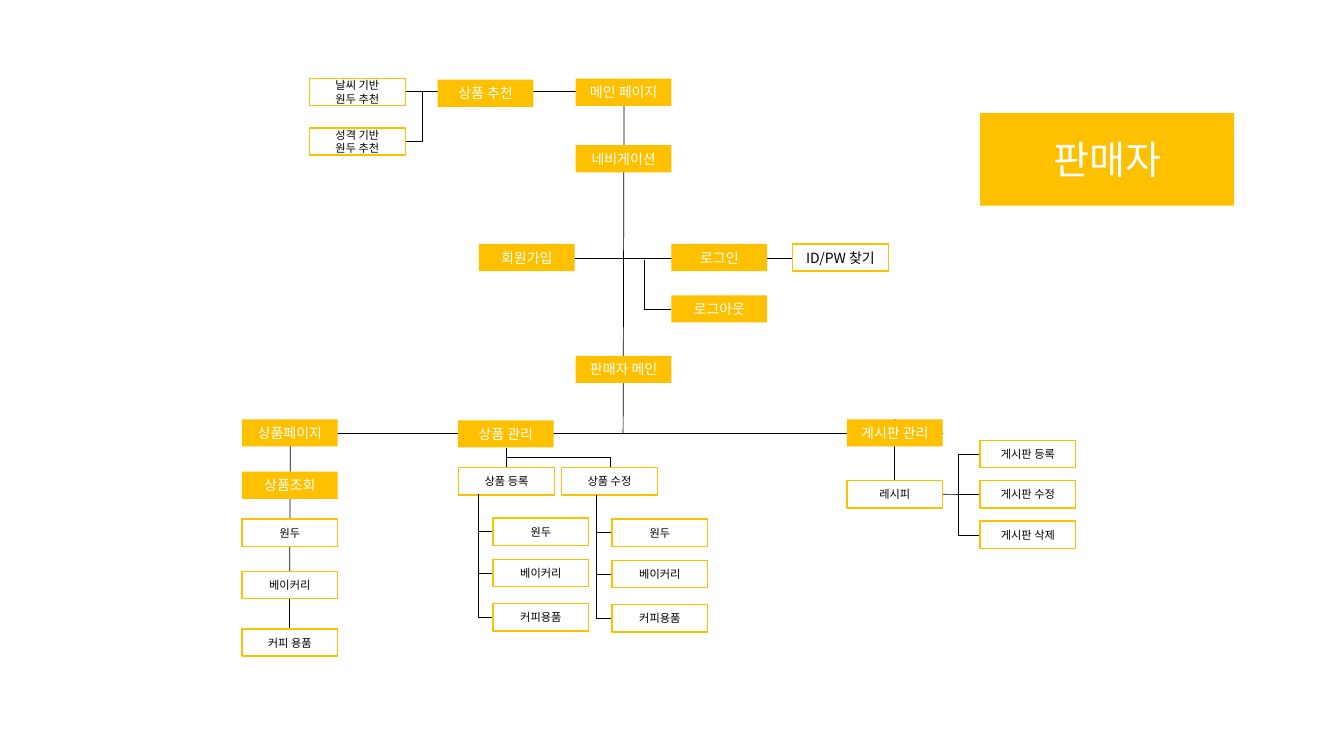
from lxml.etree import SubElement
from pptx import Presentation
from pptx.dml.color import RGBColor
from pptx.enum.shapes import MSO_CONNECTOR, MSO_SHAPE
from pptx.enum.text import MSO_ANCHOR, MSO_AUTO_SIZE, PP_ALIGN
from pptx.oxml.ns import qn
from pptx.util import Inches, Pt

AMBER = RGBColor(0xFF, 0xC0, 0x00)
WHITE = RGBColor(0xFF, 0xFF, 0xFF)
BLACK = RGBColor(0x00, 0x00, 0x00)
FONT = "Noto Sans CJK KR"
BOX_WIDTH, BOX_HEIGHT = 0.95, 0.27

TITLE = ("판매자", 9.72, 1.12, 2.52, 0.92)
PAGES = [
    ("메인 페이지", 5.71, 0.78),
    ("상품 추천", 4.34, 0.79),
    ("네비게이션", 5.71, 1.44),
    ("회원가입", 4.75, 2.42),
    ("로그인", 6.66, 2.42),
    ("로그아웃", 6.66, 2.93),
    ("판매자 메인", 5.71, 3.53),
    ("상품페이지", 2.4, 4.16),
    ("상품조회", 2.4, 4.68),
    ("상품 관리", 4.54, 4.17),
    ("게시판 관리", 8.4, 4.16),
]
SEARCH = ("ID/PW 찾기", 7.86, 2.42)
FEATURES = [
    ("날씨 기반\v원두 추천", 3.07, 0.78),
    ("성격 기반\v원두 추천", 3.07, 1.27),
    ("원두", 2.4, 5.15),
    ("베이커리", 2.4, 5.67),
    ("커피 용품", 2.4, 6.24),
    ("상품 등록", 4.55, 4.64),
    ("상품 수정", 5.57, 4.64),
    ("레시피", 8.4, 4.77),
]
GOODS = [("원두", 0), ("베이커리", 0.41), ("커피용품", 0.85)]
GOODS_COLUMNS = [(4.89, 5.14), (6.07, 5.15)]
BOARD_ACTIONS = ["게시판 등록", "게시판 수정", "게시판 삭제"]
BOARD_LEFT, BOARD_TOP, BOARD_STEP = 9.72, 4.37, 0.4

STRAIGHT_LINES = [
    (8.4, 4.9, 10.67, 4.91),
    (8.87, 4.16, 8.87, 5.04),
    (2.88, 4.16, 2.87, 6.51),
    (4.75, 2.56, 8.81, 2.56),
    (6.19, 0.78, 6.18, 4.3),
    (2.4, 4.3, 9.35, 4.3),
    (3.07, 0.91, 6.66, 0.91),
    (5.02, 4.44, 5.02, 4.64),
]
CORNERS = [
    (6.39, 2.58, 6.66, 3.07),
    (4.19, 0.91, 4.03, 1.4),
    (9.51, 4.9, 9.72, 4.51),
    (9.51, 4.91, 9.72, 5.31),
]
EDIT_LINK = (5.02, 4.44, 6.05, 4.64)


def add_line(slide, kind, *ends):
    line = slide.shapes.add_connector(kind, *map(Inches, ends))
    line.line.color.rgb = BLACK
    line.line.width = Pt(0.5)
    SubElement(line.element.spPr, qn("a:effectLst"))
    return line


def add_corner(slide, left, top, right, bottom):
    corner = add_line(slide, MSO_CONNECTOR.ELBOW, right, bottom, left, top)
    corner.element.spPr.find(qn("a:prstGeom")).set("prst", "bentConnector2")


def add_vertical_step(slide, left, top, right, bottom):
    center_x, center_y = (left + right) / 2, (top + bottom) / 2
    half_width, half_height = (bottom - top) / 2, (right - left) / 2
    step = add_line(slide, MSO_CONNECTOR.ELBOW,
                    center_x + half_width, center_y - half_height,
                    center_x - half_width, center_y + half_height)
    step.element.spPr.find(qn("a:xfrm")).set("rot", str(270 * 60000))


def set_text(box, text, size, color):
    frame = box.text_frame
    frame.auto_size = MSO_AUTO_SIZE.NONE
    frame.word_wrap = True
    frame.vertical_anchor = MSO_ANCHOR.MIDDLE
    frame.margin_left = frame.margin_right = Inches(0.04)
    frame.margin_top = frame.margin_bottom = Inches(0.05)
    para = frame.paragraphs[0]
    para.text = text
    para.alignment = PP_ALIGN.CENTER
    para.font.size = Pt(size)
    para.font.color.rgb = color
    para.font.name = FONT
    properties = para._p.find(qn("a:pPr")).find(qn("a:defRPr"))
    SubElement(properties, qn("a:ea")).set("typeface", FONT)


def add_box(slide, text, left, top, size, filled=False):
    box = slide.shapes.add_shape(
        MSO_SHAPE.RECTANGLE, *map(Inches, (left, top, BOX_WIDTH, BOX_HEIGHT)))
    box.shadow.inherit = False
    box.fill.solid()
    box.fill.fore_color.rgb = AMBER if filled else WHITE
    if filled:
        box.line.fill.background()
    else:
        box.line.color.rgb = AMBER
        box.line.width = Pt(1)
    set_text(box, text, size, WHITE if filled else BLACK)


def add_title(slide):
    text, *place = TITLE
    title = slide.shapes.title
    title.left, title.top, title.width, title.height = map(Inches, place)
    title.fill.solid()
    title.fill.fore_color.rgb = AMBER
    set_text(title, text, 28, WHITE)


def main():
    deck = Presentation()
    deck.slide_width, deck.slide_height = Inches(13.33), Inches(7.5)
    slide = deck.slides.add_slide(deck.slide_layouts[5])
    add_title(slide)

    for ends in STRAIGHT_LINES:
        add_line(slide, MSO_CONNECTOR.STRAIGHT, *ends)
    for ends in CORNERS:
        add_corner(slide, *ends)
    add_vertical_step(slide, *EDIT_LINK)

    for page in PAGES:
        add_box(slide, *page, 10, filled=True)
    add_box(slide, *SEARCH, 10)
    for feature in FEATURES:
        add_box(slide, *feature, 8)

    for left, first_top in GOODS_COLUMNS:
        for text, offset in GOODS:
            top = first_top + offset
            add_corner(slide, left - 0.15, first_top - 0.24,
                       left, top + BOX_HEIGHT / 2)
            add_box(slide, text, left, top, 8)
    for row, text in enumerate(BOARD_ACTIONS):
        add_box(slide, text, BOARD_LEFT, BOARD_TOP + row * BOARD_STEP, 8)

    deck.save("out.pptx")


if __name__ == "__main__":
    main()
